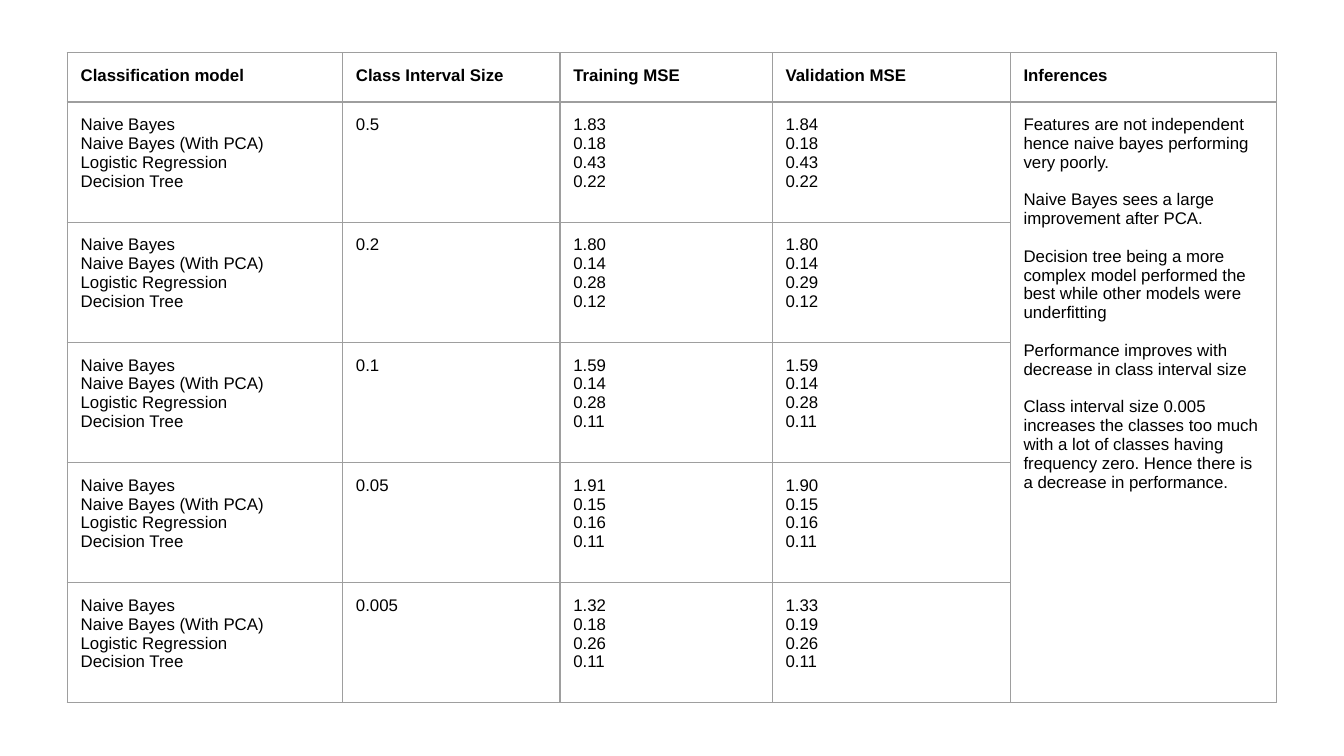
from dataclasses import dataclass

from lxml.etree import SubElement
from pptx import Presentation
from pptx.dml.color import RGBColor as RGB
from pptx.oxml import parse_xml
from pptx.oxml.ns import nsdecls, qn
from pptx.util import Pt

COLORS = {"text": "000000", "border": "9E9E9E", "cell": "FFFFFF"}
FONT = {"name": "Arial", "size": Pt(9)}
MARGINS = {f"margin_{side}": Pt(7.2) for side in ("left", "right", "top", "bottom")}

LEFT, TOP = 36, 28.3
COL_WIDTHS = [147.5, 116.5, 113.7, 127.5, 142.8]
HEADER_HEIGHT, BODY_HEIGHT = 26.4, 64.4
BORDER_WIDTH = 0.75
PARAGRAPH_GAP = 10


@dataclass
class Result:
    interval: str
    training: list[str]
    validation: list[str]


HEADERS = ["Classification model", "Class Interval Size", "Training MSE",
           "Validation MSE", "Inferences"]
MODELS = ["Naive Bayes", "Naive Bayes (With PCA)", "Logistic Regression", "Decision Tree"]
RESULTS = [
    Result("0.5", ["1.83", "0.18", "0.43", "0.22"], ["1.84", "0.18", "0.43", "0.22"]),
    Result("0.2", ["1.80", "0.14", "0.28", "0.12"], ["1.80", "0.14", "0.29", "0.12"]),
    Result("0.1", ["1.59", "0.14", "0.28", "0.11"], ["1.59", "0.14", "0.28", "0.11"]),
    Result("0.05", ["1.91", "0.15", "0.16", "0.11"], ["1.90", "0.15", "0.16", "0.11"]),
    Result("0.005", ["1.32", "0.18", "0.26", "0.11"], ["1.33", "0.19", "0.26", "0.11"]),
]
INFERENCES = [
    "Features are not independent hence naive bayes performing very poorly.",
    "Naive Bayes sees a large improvement after PCA.",
    "Decision tree being a more complex model performed the best while other models "
    "were underfitting",
    "Performance improves with decrease in class interval size",
    "Class interval size 0.005 increases the classes too much with a lot of classes "
    "having frequency zero. Hence there is a decrease in performance.",
]


def format_cell(cell) -> None:
    """Set the margins, fill and four borders of a cell."""
    for name, value in MARGINS.items():
        setattr(cell, name, value)
    cell.fill.solid()
    cell.fill.fore_color.rgb = RGB.from_string(COLORS["cell"])
    tc_pr = cell._tc.get_or_add_tcPr()
    for i, side in enumerate("LRTB"):
        ln = parse_xml(f'<a:ln{side} {nsdecls("a")} w="{Pt(BORDER_WIDTH)}"/>')
        fill = SubElement(ln, qn("a:solidFill"))
        SubElement(fill, qn("a:srgbClr"), val=COLORS["border"])
        tc_pr.insert(i, ln)


def write_cell(cell, lines: list[str], bold: bool = False, gap: float = 0) -> None:
    """Write one paragraph for each line, with a gap between them."""
    tf = cell.text_frame
    for i, line in enumerate(lines):
        p = tf.add_paragraph() if i else tf.paragraphs[0]
        p.space_before = Pt(gap if i else 0)
        r = p.add_run()
        r.text = line
        for name, value in {**FONT, "bold": bold}.items():
            setattr(r.font, name, value)
        r.font.color.rgb = RGB.from_string(COLORS["text"])


def main() -> None:
    prs = Presentation()
    prs.slide_width, prs.slide_height = Pt(720), Pt(405)
    s = prs.slides.add_slide(prs.slide_layouts[6])

    # Table grid
    heights = [HEADER_HEIGHT] + [BODY_HEIGHT] * len(RESULTS)
    table = s.shapes.add_table(len(heights), len(COL_WIDTHS), Pt(LEFT), Pt(TOP),
                               Pt(sum(COL_WIDTHS)), Pt(sum(heights))).table
    table.first_row = table.horz_banding = False
    for col, width in zip(table.columns, COL_WIDTHS):
        col.width = Pt(width)
    for row, height in zip(table.rows, heights):
        row.height = Pt(height)
    for cell in table.iter_cells():
        format_cell(cell)

    # Header row
    for col, header in enumerate(HEADERS):
        write_cell(table.cell(0, col), [header], bold=True)

    # Results for each class interval size
    for row, result in enumerate(RESULTS, start=1):
        columns = [MODELS, [result.interval], result.training, result.validation]
        for col, lines in enumerate(columns):
            write_cell(table.cell(row, col), lines)

    # Inferences, across all result rows
    last = len(HEADERS) - 1
    inferences = table.cell(1, last)
    inferences.merge(table.cell(len(RESULTS), last))
    write_cell(inferences, INFERENCES, gap=PARAGRAPH_GAP)

    prs.save("out.pptx")


if __name__ == "__main__":
    main()
